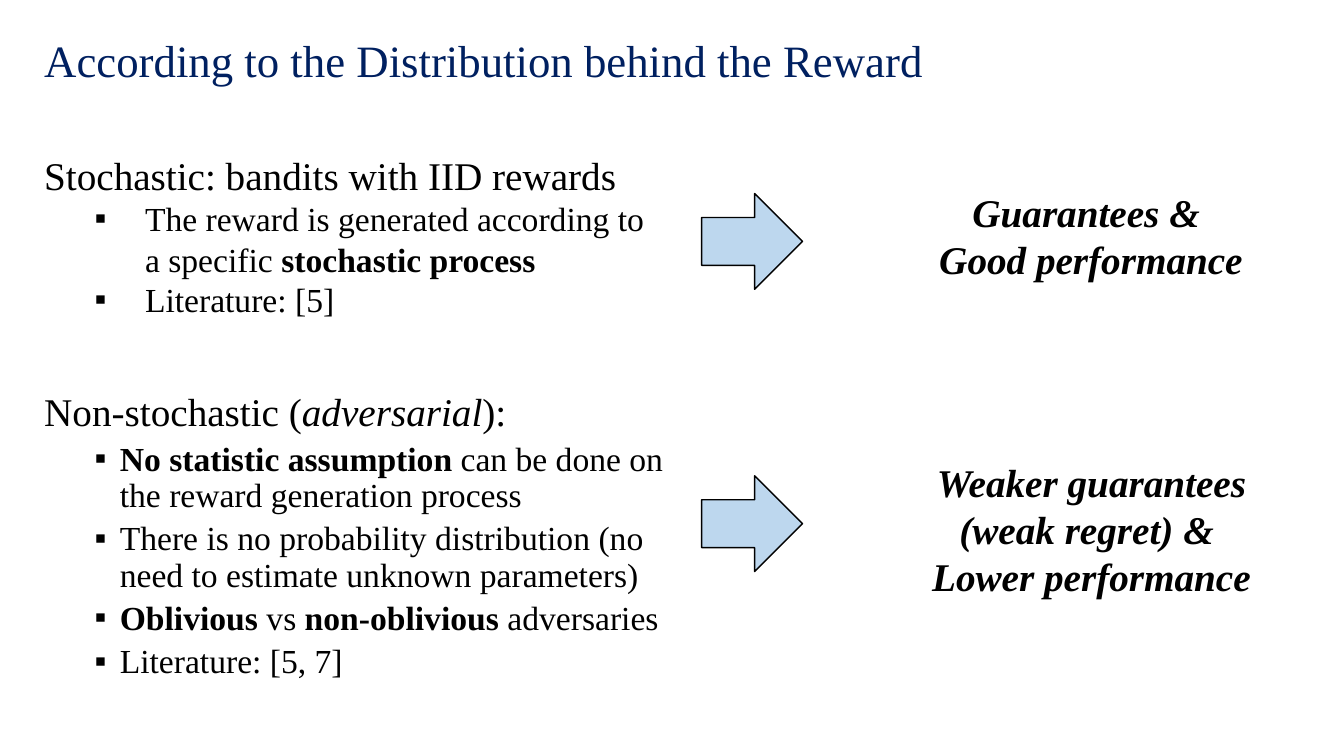
from dataclasses import dataclass

from lxml.etree import SubElement
from pptx import Presentation
from pptx.dml.color import RGBColor as RGB
from pptx.enum.shapes import MSO_SHAPE as Shape
from pptx.enum.text import MSO_ANCHOR as Anchor
from pptx.enum.text import MSO_AUTO_SIZE as Auto
from pptx.enum.text import PP_ALIGN as Align
from pptx.oxml.ns import qn
from pptx.util import Inches, Pt


@dataclass(frozen=True)
class Theme:
    """Colours, font and type sizes of the slide."""
    face: str = "Times New Roman"
    navy: RGB = RGB(0x00, 0x20, 0x60)
    ink: RGB = RGB(0, 0, 0)
    sky: RGB = RGB(0xBD, 0xD7, 0xEE)
    title: int = 32
    head: int = 28
    item: int = 24


THEME = Theme()
LEFT = 0.34

IID = [
    [("Stochastic: bandits with IID rewards", "")],
    [("The reward is generated according to a specific ", ""),
     ("stochastic process", "b")],
    [("Literature: [5]", "")],
]
RIVAL = [
    [("Non-stochastic (", ""), ("adversarial", "i"), ("):", "")],
    [("No statistic assumption ", "b"),
     ("can be done on the reward generation process", "")],
    [("There is no probability distribution "
      "(no need to estimate unknown parameters)", "")],
    [("Oblivious ", "b"), ("vs ", ""), ("non-oblivious ", "b"),
     ("adversaries", "")],
    [("Literature: [5, 7]", "")],
]
GOOD = ["Guarantees & ", "Good performance"]
WEAK = ["Weaker guarantees (weak regret) & ", "Lower performance"]


def add_frame(slide, box, auto=Auto.NONE):
    """Add a wrapping text box and return its text frame."""
    frame = slide.shapes.add_textbox(*map(Inches, box)).text_frame
    frame.word_wrap = True
    frame.auto_size = auto
    return frame


def style(run, size, color=THEME.ink, marks=""):
    """Give a run its font, size, colour and bold or italic marks."""
    font = run.font
    font.name, font.size = THEME.face, Pt(size)
    font.color.rgb = color
    font.bold, font.italic = "b" in marks, "i" in marks


def add_bullet(para, left, hang):
    """Turn a paragraph into a second-level square bullet."""
    para.level = 1
    props = para._p.get_or_add_pPr()
    props.set("marL", str(Inches(left)))
    props.set("indent", str(-Inches(hang)))
    SubElement(props, qn("a:buFont"), typeface=THEME.face)
    SubElement(props, qn("a:buChar"), char="▪")


def add_title(slide, box, text):
    """Place the slide title in its box."""
    frame = add_frame(slide, box)
    frame.vertical_anchor = Anchor.MIDDLE
    frame.text = text
    para = frame.paragraphs[0]
    para.line_spacing = 0.9
    style(para.runs[0], THEME.title, THEME.navy)


def add_case(slide, box, rows, left, hang, line=1.0, gap=0, auto=Auto.NONE):
    """Place a heading with its bullets in the box."""
    frame = add_frame(slide, box, auto)
    for num, row in enumerate(rows):
        para = frame.add_paragraph() if num else frame.paragraphs[0]
        if num:
            add_bullet(para, left, hang)
            para.space_before = Pt(gap)
        para.line_spacing = line
        for text, marks in row:
            run = para.add_run()
            run.text = text
            style(run, THEME.item if num else THEME.head, marks=marks)


def add_arrow(slide, box):
    """Place a block arrow in the box."""
    arrow = slide.shapes.add_shape(Shape.RIGHT_ARROW, *map(Inches, box))
    arrow.shadow.inherit = False
    arrow.fill.solid()
    arrow.fill.fore_color.rgb = THEME.sky
    arrow.line.color.rgb = THEME.ink
    arrow.line.width = Pt(1)


def add_result(slide, box, lines):
    """Place the centred outcome of a case in the box."""
    frame = add_frame(slide, box, Auto.SHAPE_TO_FIT_TEXT)
    frame.text = "\n".join(lines)
    for para in frame.paragraphs:
        para.alignment = Align.CENTER
        style(para.runs[0], THEME.head, marks="bi")


def main():
    """Build the slide and save it."""
    deck = Presentation()
    deck.slide_width, deck.slide_height = Inches(13.33), Inches(7.5)
    slide = deck.slides.add_slide(deck.slide_layouts[6])
    add_title(slide, (LEFT, 0.3, 11.5, 0.66),
              "According to the Distribution behind the Reward")
    add_case(slide, (LEFT, 1.45, 6.22, 1.78), IID, 1, 0.5,
             auto=Auto.SHAPE_TO_FIT_TEXT)
    add_case(slide, (LEFT, 3.85, 6.39, 3.11), RIVAL, 0.75, 0.25, 0.9, 5)
    for top in (1.92, 4.72):
        add_arrow(slide, (6.96, top, 1, 0.95))
    add_result(slide, (9.08, 1.82, 3.48, 1.04), GOOD)
    add_result(slide, (8.85, 4.5, 3.95, 1.51), WEAK)
    deck.save("out.pptx")


if __name__ == "__main__":
    main()
